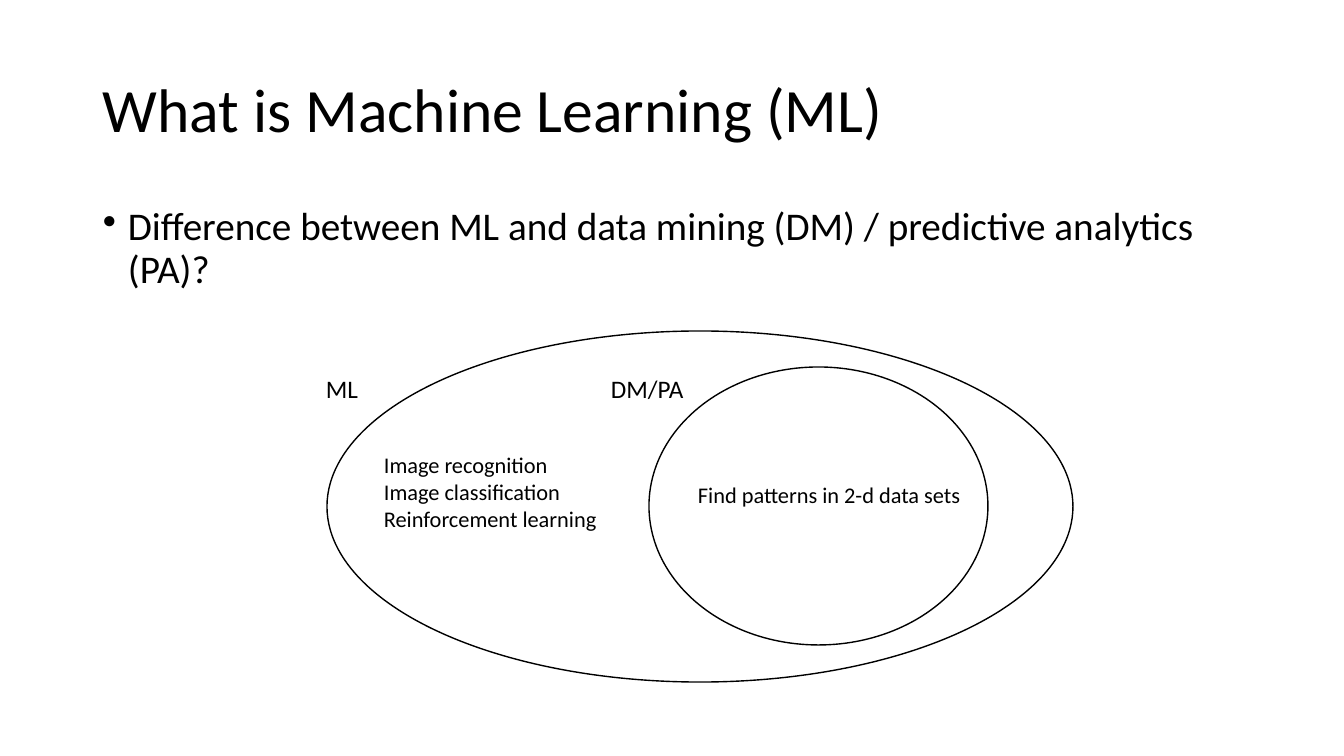
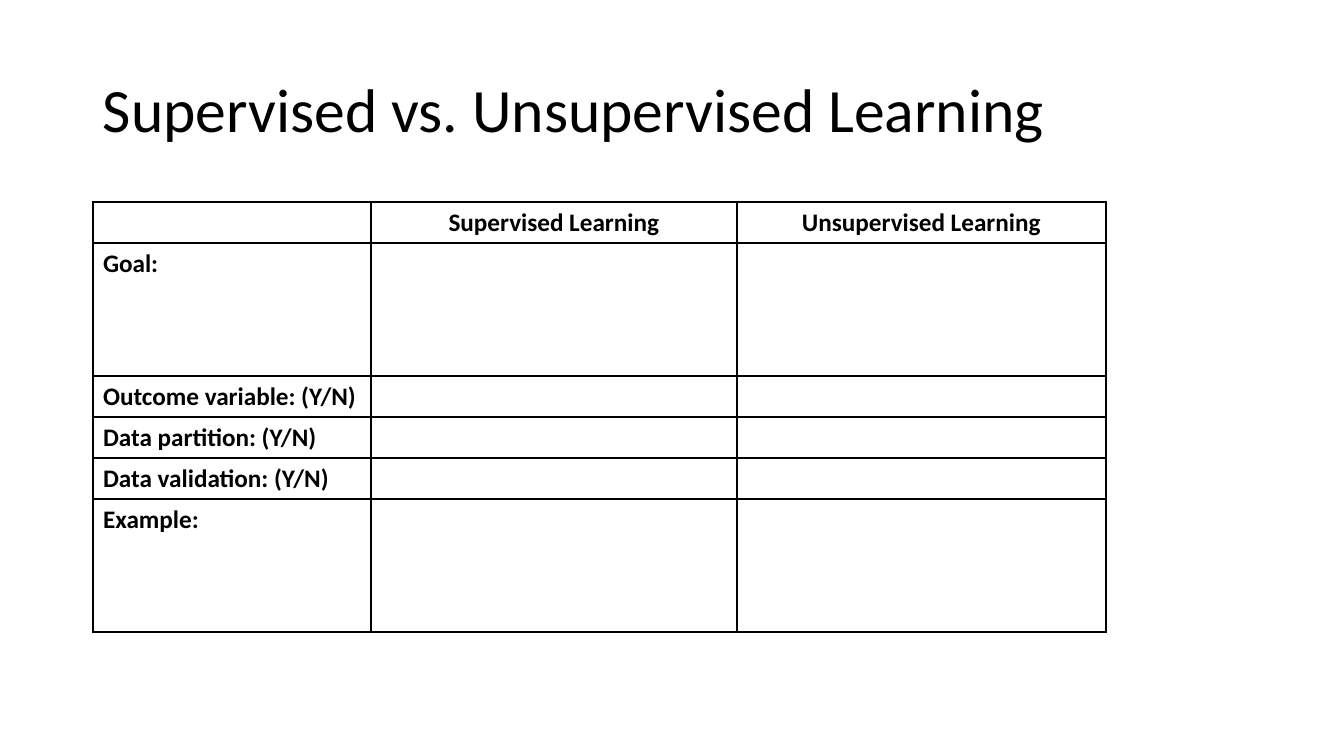
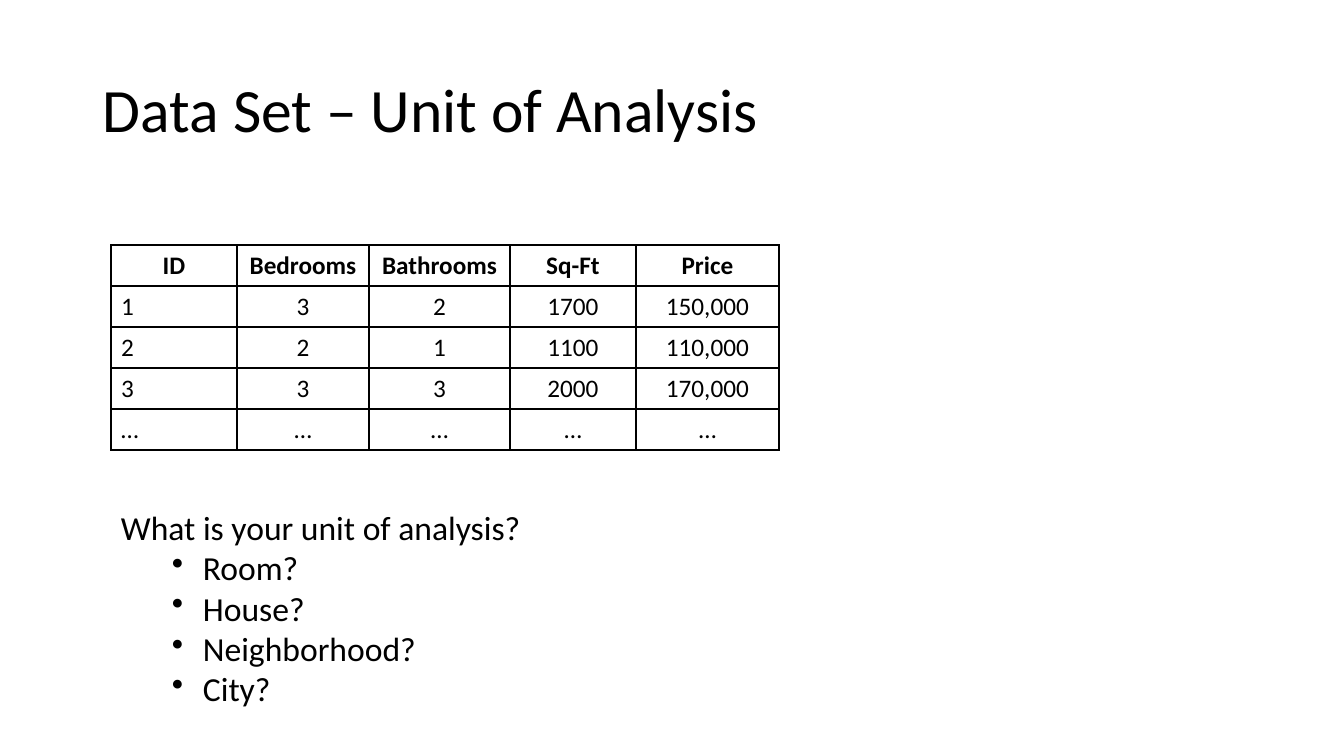
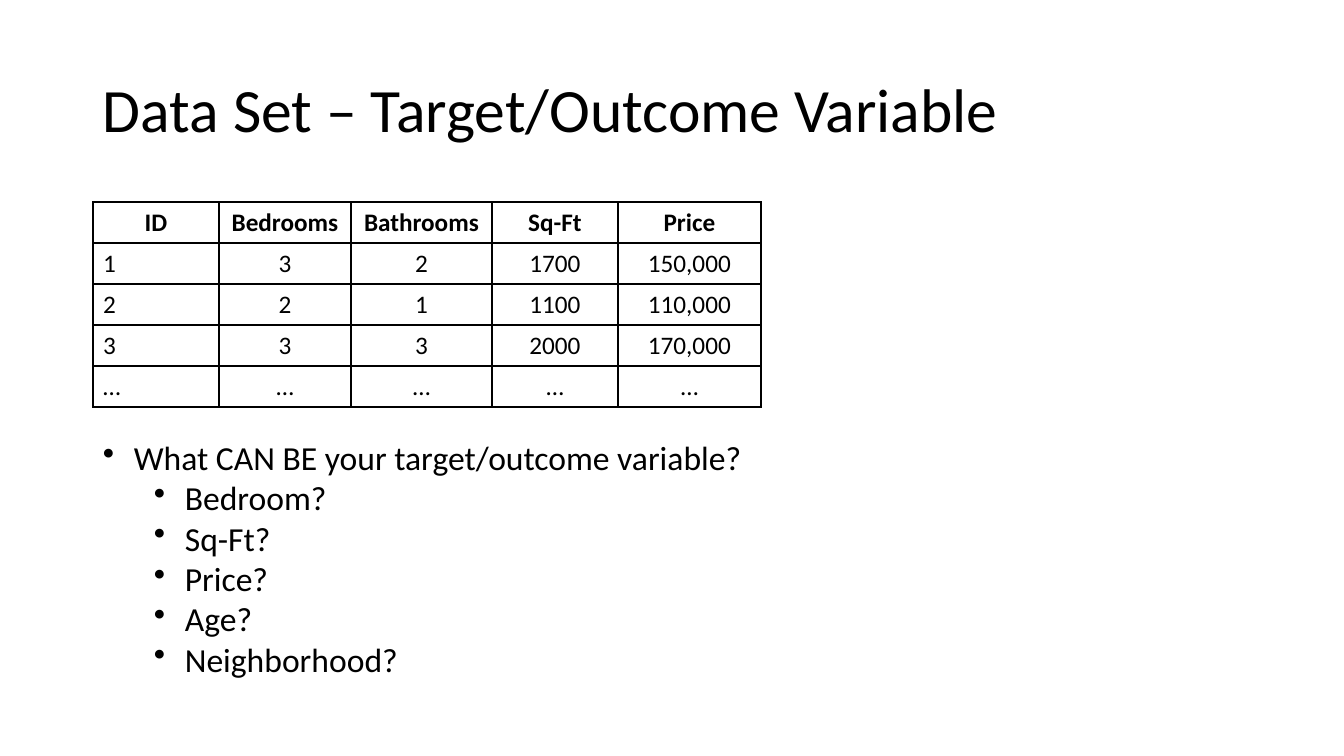
from lxml.etree import SubElement
from pptx import Presentation
from pptx.dml.color import RGBColor
from pptx.enum.shapes import MSO_SHAPE
from pptx.enum.text import MSO_ANCHOR, PP_ALIGN
from pptx.oxml.ns import qn
from pptx.util import Emu, Pt

PX = 914400 / 100.8  # EMU in one px
FONT = "Calibri"
BLACK = RGBColor(0x00, 0x00, 0x00)
WHITE = RGBColor(0xFF, 0xFF, 0xFF)
LEFT, CONTENT_TOP, CONTENT_WIDTH = 93, 202, 1159
ROW_HEIGHT = 41


def add_text(shapes, box, lines, size, hanging=31):
    """Add a text box; each line is (text, bullet indent), indent None for no bullet."""
    frame = shapes.add_textbox(*[Emu(int(length * PX)) for length in box]).text_frame
    frame.word_wrap = True
    frame.text = "\n".join(text for text, indent in lines)
    for paragraph, (text, indent) in zip(frame.paragraphs, lines):
        font = paragraph.runs[0].font
        font.name, font.size, font.color.rgb = FONT, Pt(size), BLACK
        if indent is not None:
            paragraph.level = 1 if indent > hanging else 0
            properties = paragraph._p.get_or_add_pPr()
            properties.set("marL", str(int(indent * PX)))
            properties.set("indent", str(int(-hanging * PX)))
            SubElement(properties, qn("a:buChar"), char="•")
    return frame


def add_grid(slide, left, top, widths, heights, rows, bold_body=False):
    """Add an unfilled table with black borders and a bold, centred header row."""
    box = [Emu(int(length * PX)) for length in (left, top, sum(widths), sum(heights))]
    table = slide.shapes.add_table(len(rows), len(widths), *box).table
    for column, width in zip(table.columns, widths):
        column.width = Emu(int(width * PX))
    for row, height in zip(table.rows, heights):
        row.height = Emu(int(height * PX))
    for row_index, texts in enumerate(rows):
        for column_index, text in enumerate(texts):
            cell = table.cell(row_index, column_index)
            cell.text = text
            paragraph = cell.text_frame.paragraphs[0]
            if row_index == 0 or column_index > 0:
                paragraph.alignment = PP_ALIGN.CENTER
            for run in paragraph.runs:
                font = run.font
                font.name, font.size, font.color.rgb = FONT, Pt(18), BLACK
                font.bold = row_index == 0 or bold_body
            properties = cell._tc.get_or_add_tcPr()
            for side in ("a:lnL", "a:lnR", "a:lnT", "a:lnB"):
                border = SubElement(properties, qn(side), w=str(Pt(1)))
                fill = SubElement(border, qn("a:solidFill"))
                SubElement(fill, qn("a:srgbClr"), val=str(BLACK))
            cell.fill.background()


presentation = Presentation()
presentation.slide_width = Emu(int(1344 * PX))
presentation.slide_height = Emu(int(756 * PX))

# Slides and titles
slides = []
for title in (
    "What is Machine Learning (ML)",
    "Supervised vs. Unsupervised Learning",
    "Data Set – Unit of Analysis",
    "Data Set – Target/Outcome Variable",
):
    slide = presentation.slides.add_slide(presentation.slide_layouts[6])
    frame = add_text(slide.shapes, (LEFT, 40, CONTENT_WIDTH, 146), [(title, None)], 44)
    frame.vertical_anchor = MSO_ANCHOR.MIDDLE
    frame.paragraphs[0].line_spacing = 0.9
    slides.append(slide)
definition_slide, comparison_slide, unit_slide, target_slide = slides

# What is Machine Learning
question = "Difference between ML and data mining (DM) / predictive analytics (PA)?"
frame = add_text(definition_slide.shapes, (LEFT, CONTENT_TOP, CONTENT_WIDTH, 480),
                 [(question, 25)], 28, hanging=25)
frame.paragraphs[0].line_spacing = 0.9
frame.paragraphs[0].space_before = Pt(10)

diagram = definition_slide.shapes.add_group_shape().shapes
for box in ((327, 331, 746, 351), (649, 367, 339, 278)):
    ellipse = diagram.add_shape(MSO_SHAPE.OVAL, *[Emu(int(length * PX)) for length in box])
    ellipse.shadow.inherit = False
    ellipse.fill.solid()
    ellipse.fill.fore_color.rgb = WHITE
    ellipse.line.color.rgb = BLACK
    ellipse.line.width = Pt(1)
for box, size, texts in (
    ((688, 476, 288, 37), 16, ["Find patterns in 2-d data sets"]),
    ((374, 446, 281, 92), 16,
     ["Image recognition", "Image classification", "Reinforcement learning"]),
    ((316, 368, 78, 52), 18, ["ML"]),
    ((601, 368, 115, 52), 18, ["DM/PA"]),
):
    add_text(diagram, box, [(text, None) for text in texts], size)

# Supervised vs. Unsupervised Learning
labels = ("Goal:", "Outcome variable: (Y/N)", "Data partition: (Y/N)",
          "Data validation: (Y/N)", "Example:")
comparison = [("", "Supervised Learning", "Unsupervised Learning")]
comparison += [(label, "", "") for label in labels]
heights = [ROW_HEIGHT, 133] + [ROW_HEIGHT] * 3 + [133]
add_grid(comparison_slide, LEFT, CONTENT_TOP, (278, 366, 369), heights, comparison,
         bold_body=True)

# Data set slides
houses = [
    ("ID", "Bedrooms", "Bathrooms", "Sq-Ft", "Price"),
    ("1", "3", "2", "1700", "150,000"),
    ("2", "2", "1", "1100", "110,000"),
    ("3", "3", "3", "2000", "170,000"),
    ("…",) * 5,
]
for slide, left, top, text_top, text_width, question, question_indent, options in (
    (unit_slide, 111, 245, 502, 458, "What is your unit of analysis?", None,
     ("Room?", "House?", "Neighborhood?", "City?")),
    (target_slide, LEFT, CONTENT_TOP, 432, 736,
     "What CAN BE your target/outcome variable?", 31,
     ("Bedroom?", "Sq-Ft?", "Price?", "Age?", "Neighborhood?")),
):
    add_grid(slide, left, top, (126, 132, 141, 126, 143), [ROW_HEIGHT] * len(houses), houses)
    lines = [(question, question_indent)] + [(option, 82) for option in options]
    add_text(slide.shapes, (left, text_top, text_width, 254), lines, 24)

presentation.save("out.pptx")
